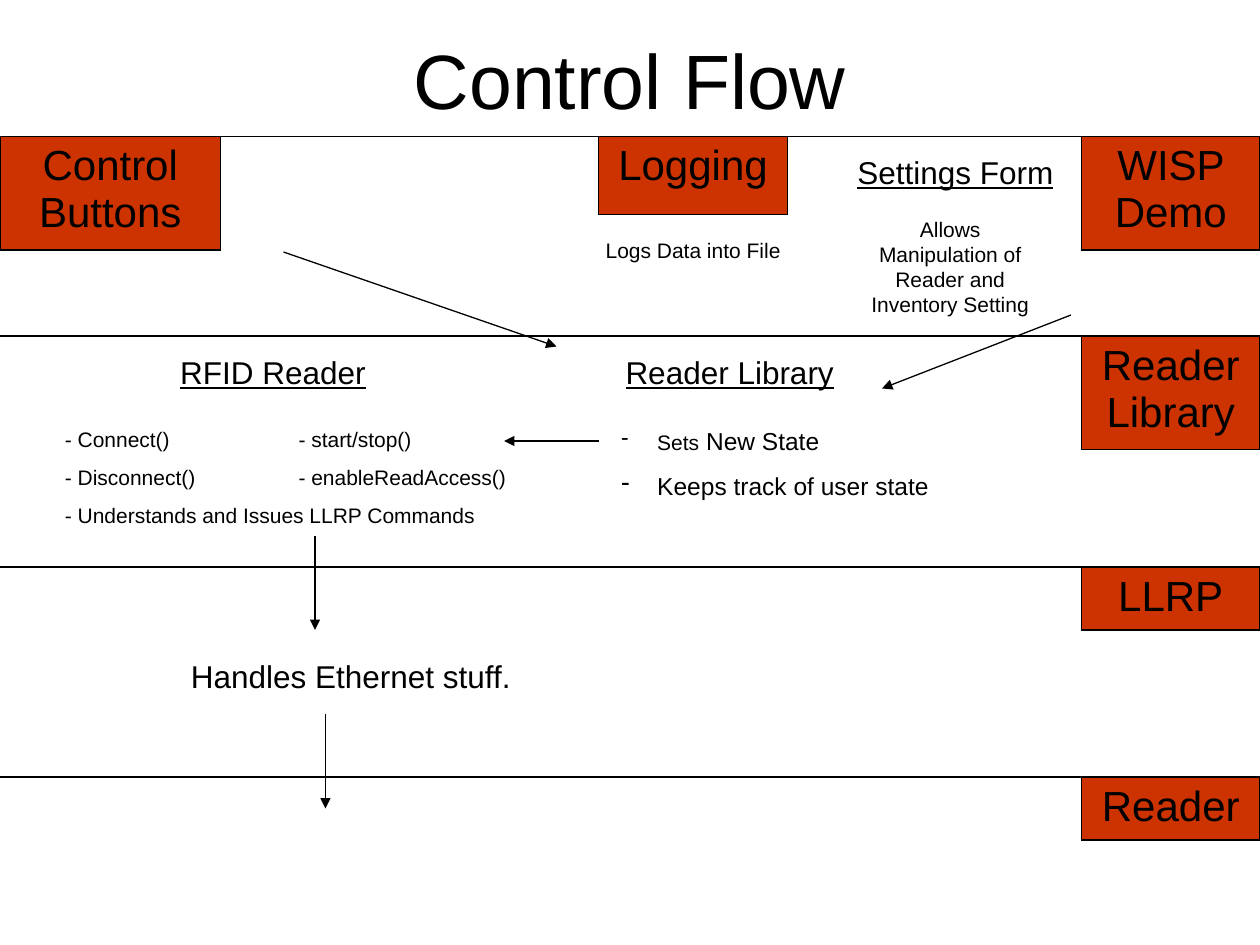
from lxml import etree
from pptx import Presentation
from pptx.dml.color import RGBColor
from pptx.enum.shapes import MSO_CONNECTOR
from pptx.enum.text import MSO_ANCHOR, PP_ALIGN
from pptx.oxml.ns import qn
from pptx.util import Pt

STRAIGHT = MSO_CONNECTOR.STRAIGHT
LEFT, CENTER = PP_ALIGN.LEFT, PP_ALIGN.CENTER
TOP, MIDDLE = MSO_ANCHOR.TOP, MSO_ANCHOR.MIDDLE
BLACK, RED = "000000", "CC3300"
SLIDE_WIDTH, SLIDE_HEIGHT = 720, 540
LAYER_TOPS = (78, 192, 324, 444)
LABEL_LEFT, LABEL_WIDTH = 618, 102
TALL, SHORT = 64.8, 36


def color(hex_string):
    return RGBColor.from_string(hex_string)


def add_run(paragraph, text, size, underline=False):
    run = paragraph.add_run()
    run.text = text
    run.font.name = "Arial"
    run.font.size = Pt(size)
    run.font.color.rgb = color(BLACK)
    if underline:
        run.font.underline = True


def add_text(slide, box, paragraphs, align=LEFT, anchor=TOP, gap=0, underline=False):
    """Add a text box; each paragraph is a list of (text, size) runs."""
    frame = slide.shapes.add_textbox(*map(Pt, box)).text_frame
    frame.word_wrap = True
    frame.vertical_anchor = anchor
    for index, runs in enumerate(paragraphs):
        paragraph = frame.add_paragraph() if index else frame.paragraphs[0]
        paragraph.alignment = align
        if index:
            paragraph.space_before = Pt(gap)
        for text, size in runs:
            add_run(paragraph, text, size, underline)
    return frame


def add_heading(slide, box, text):
    add_text(slide, box, [[(text, 18)]], CENTER, underline=True)


def set_dash_bullets(frame, indent):
    for paragraph in frame.paragraphs:
        properties = paragraph._p.get_or_add_pPr()
        properties.set("marL", str(Pt(indent)))
        properties.set("indent", str(-Pt(indent)))
        etree.SubElement(properties, qn("a:buChar"), char="-")


def set_tab_stop(frame, position):
    for paragraph in frame.paragraphs:
        tabs = etree.SubElement(paragraph._p.get_or_add_pPr(), qn("a:tabLst"))
        etree.SubElement(tabs, qn("a:tab"), pos=str(Pt(position)), algn="l")


def set_borders(cell, width):
    properties = cell._tc.get_or_add_tcPr()
    for side in ("lnL", "lnR", "lnT", "lnB"):
        line = etree.SubElement(properties, qn(f"a:{side}"), w=str(Pt(width)))
        fill = etree.SubElement(line, qn("a:solidFill"))
        etree.SubElement(fill, qn("a:srgbClr"), val=BLACK)


def add_label(slide, box, text):
    """Add a red one-cell table."""
    table = slide.shapes.add_table(1, 1, *map(Pt, box)).table
    table.first_row = table.horz_banding = False
    cell = table.cell(0, 0)
    set_borders(cell, 1.08)
    cell.fill.solid()
    cell.fill.fore_color.rgb = color(RED)
    paragraph = cell.text_frame.paragraphs[0]
    paragraph.alignment = CENTER
    add_run(paragraph, text, 24)


def add_line(slide, start, end, arrow=False):
    connector = slide.shapes.add_connector(STRAIGHT, *map(Pt, start + end))
    connector.line.color.rgb = color(BLACK)
    connector.line.width = Pt(0.75)
    if arrow:
        etree.SubElement(connector.line._get_or_add_ln(), qn("a:tailEnd"), type="triangle")
    etree.SubElement(connector._element.spPr, qn("a:effectLst"))


def add_layers(slide):
    layers = (("WISP Demo", TALL), ("Reader Library", TALL), ("LLRP", SHORT), ("Reader", SHORT))
    for top, (name, height) in zip(LAYER_TOPS, layers):
        add_line(slide, (0, top), (SLIDE_WIDTH, top))
        add_label(slide, (LABEL_LEFT, top, LABEL_WIDTH, height), name)
    add_label(slide, (0, LAYER_TOPS[0], 126, TALL), "Control Buttons")
    add_label(slide, (342, LAYER_TOPS[0], 108, 44.64), "Logging")


def add_descriptions(slide):
    add_heading(slide, (474, 84, 144, 29), "Settings Form")
    add_heading(slide, (90, 198, 132, 29), "RFID Reader")
    add_heading(slide, (348, 198, 138, 29), "Reader Library")
    add_text(slide, (486, 120, 114, 65),
             [[("Allows Manipulation of Reader and Inventory Setting", 12)]], CENTER)
    add_text(slide, (339, 132, 132, 22), [[("Logs Data into File", 12)]])
    add_text(slide, (102, 372, 198, 29), [[("Handles Ethernet stuff.", 18)]])

    commands = ("- Connect()\t- start/stop()",
                "- Disconnect()\t- enableReadAccess()",
                "- Understands and Issues LLRP Commands")
    frame = add_text(slide, (30, 240, 300, 66), [[(text, 12)] for text in commands], gap=7.5)
    set_tab_stop(frame, 133.5)

    states = [[("Sets", 12), (" New State", 14)], [("Keeps track of user state", 14)]]
    set_dash_bullets(add_text(slide, (348, 240, 246, 50), states, gap=8.8), 20.5)


def add_arrows(slide):
    arrows = (
        ((162, 144), (318, 198)),
        ((612, 180), (504, 222)),
        ((342, 252), (288, 252)),
        ((180, 306), (180, 360)),
        ((186, 408), (186, 462)),
    )
    for start, end in arrows:
        add_line(slide, start, end, arrow=True)


def main():
    presentation = Presentation()
    presentation.slide_width = Pt(SLIDE_WIDTH)
    presentation.slide_height = Pt(SLIDE_HEIGHT)
    slide = presentation.slides.add_slide(presentation.slide_layouts[6])
    add_text(slide, (36, 0, 648, 90), [[("Control Flow", 44)]], CENTER, MIDDLE)
    add_layers(slide)
    add_descriptions(slide)
    add_arrows(slide)
    presentation.save("out.pptx")


if __name__ == "__main__":
    main()
